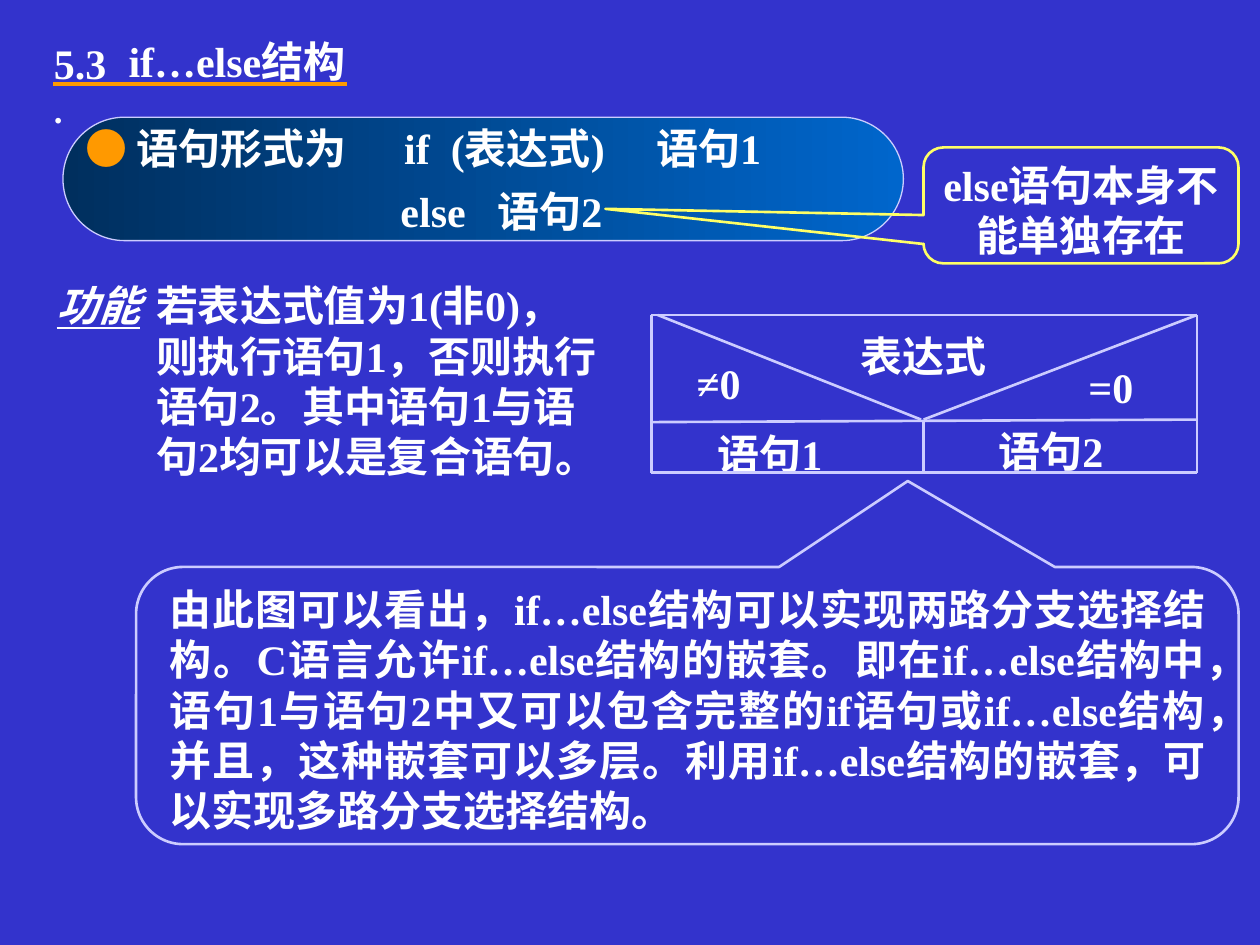
import pptx
import pptx.util
import pptx.dml.color
import pptx.enum.shapes
import pptx.enum.text
import pptx.oxml
import lxml.etree

Inches = pptx.util.Inches
Pt = pptx.util.Pt
SHAPES = pptx.enum.shapes.MSO_SHAPE
ALIGN = pptx.enum.text.PP_ALIGN
WHITE, LAVENDER, ORANGE, YELLOW = "FFFFFF", "CCCCFF", "FF9900", "FFFF66"
BASE_FORMAT = {"size": Pt(24), "name": "Times New Roman", "bold": True}


def color(value):
    return pptx.dml.color.RGBColor.from_string(value)


def write(shape, paragraphs, align=ALIGN.LEFT, space_before=0, tabs=(), grow=True):
    """Fill a shape with paragraphs, each a list of (text, colour, format) runs."""
    frame = shape.text_frame
    frame.word_wrap = True
    frame.vertical_anchor = pptx.enum.text.MSO_ANCHOR.TOP
    if grow:
        frame.auto_size = pptx.enum.text.MSO_AUTO_SIZE.SHAPE_TO_FIT_TEXT
    for index, runs in enumerate(paragraphs):
        paragraph = frame.add_paragraph() if index else frame.paragraphs[0]
        paragraph.alignment = align
        paragraph.space_before = Pt(space_before if index else 0)
        if tabs:
            tab_list = lxml.etree.SubElement(
                paragraph._p.get_or_add_pPr(), pptx.oxml.ns.qn("a:tabLst"))
            for position in tabs[index]:
                lxml.etree.SubElement(tab_list, pptx.oxml.ns.qn("a:tab"),
                                      pos=str(Inches(position)), algn="l")
        for text, run_color, run_format in runs:
            run = paragraph.add_run()
            run.text = text
            for name, value in {**BASE_FORMAT, **run_format}.items():
                setattr(run.font, name, value)
            run.font.color.rgb = color(run_color)


presentation = pptx.Presentation()
presentation.slide_width, presentation.slide_height = Inches(10), Inches(7.5)
slide = presentation.slides.add_slide(presentation.slide_layouts[5])
slide.background.fill.solid()
slide.background.fill.fore_color.rgb = color("3333CC")

# Title
title = slide.shapes.title
title.left, title.top = Inches(0.92), Inches(0.23)
title.width, title.height = Inches(2.42), Inches(0.5)
write(title, [[("if…else结构", WHITE, {})]])

# Rounded boxes: statement panel and the two callouts
boxes = {}
for name, preset, bounds, adjustments, line_color, line_width in [
    ("panel", SHAPES.ROUNDED_RECTANGLE, (0.5, 0.93, 6.67, 0.98),
     [0.5], LAVENDER, 0.75),
    ("warning", SHAPES.ROUNDED_RECTANGULAR_CALLOUT, (7.33, 1.17, 2.5, 0.92),
     [-1.51, 0.03, 0.17], YELLOW, 1.5),
    ("conclusion", SHAPES.ROUNDED_RECTANGULAR_CALLOUT, (1.08, 4.5, 8.75, 2.2),
     [0.2, -0.81, 0.17], LAVENDER, 1.5),
]:
    box = slide.shapes.add_shape(preset, *map(Inches, bounds))
    box.shadow.inherit = False
    box.fill.background()
    box.line.color.rgb = color(line_color)
    box.line.width = Pt(line_width)
    for index, value in enumerate(adjustments):
        box.adjustments[index] = value
    boxes[name] = box

panel_fill = boxes["panel"].fill
panel_fill.gradient()
panel_fill.gradient_angle = 0
for stop, position, value in zip(panel_fill.gradient_stops, (0, 1), ("002F5E", "0066CC")):
    stop.position = position
    stop.color.rgb = color(value)

write(boxes["warning"], [[("else语句本身不能单独存在", WHITE, {})]],
      align=ALIGN.CENTER, grow=False)

# Statement form, with the code aligned on tab stops
statement = slide.shapes.add_textbox(Inches(0.58), Inches(0.92), Inches(7.92), Inches(1.03))
write(statement, [
    [("● ", ORANGE, {"bold": False}),
     ("语句形式为\tif\t(表达式)\t语句1", WHITE, {})],
    [("\telse\t语句2", WHITE, {})],
], space_before=7.2, tabs=[(2.53, 2.9, 4.53), (2.5, 3.27)])

# Section number, explanation and diagram labels
conclusion = (
    "由此图可以看出，if…else结构可以实现两路分支选择结构。"
    "C语言允许if…else结构的嵌套。即在if…else结构中，"
    "语句1与语句2中又可以包含完整的if语句或if…else结构，"
    "并且，这种嵌套可以多层。利用if…else结构的嵌套，可以实现多路分支选择结构。")
function = "若表达式值为1(非0)，则执行语句1，否则执行语句2。其中语句1与语句2均可以是复合语句。"
for bounds, align, runs in [
    ((0.33, 0.25, 0.67, 0.5), ALIGN.LEFT,
     [("5.3", WHITE, {}), (".", WHITE, {"size": Pt(20)})]),
    ((0.35, 2.17, 0.98, 0.5), ALIGN.LEFT,
     [("功能", WHITE, {"italic": True, "underline": True})]),
    ((1.14, 2.17, 3.74, 1.72), ALIGN.LEFT, [(function, WHITE, {})]),
    ((1.25, 4.58, 8.42, 2.12), ALIGN.JUSTIFY, [(conclusion, WHITE, {})]),
    ((6.51, 2.57, 1.64, 0.51), ALIGN.CENTER, [("表达式", WHITE, {})]),
    ((5.43, 2.79, 0.79, 0.51), ALIGN.LEFT, [("≠0", WHITE, {})]),
    ((8.54, 2.82, 0.79, 0.51), ALIGN.LEFT, [("=0", WHITE, {})]),
    ((5.35, 3.35, 1.52, 0.51), ALIGN.CENTER, [("语句1", WHITE, {})]),
    ((7.58, 3.33, 1.52, 0.51), ALIGN.CENTER, [("语句2", WHITE, {})]),
]:
    write(slide.shapes.add_textbox(*map(Inches, bounds)), [runs], align=align)

# Title underline and the lines of the branch diagram
left, right, top, bottom = 5.17, 9.5, 2.5, 3.75
middle, divider = 7.33, 3.33
diagram = [
    (left, top, right, top),
    (left, bottom, right, bottom),
    (left, top, left, bottom),
    (right, top, right, bottom),
    (left, 3.35, right, divider),
    (5.22, top, 7.31, divider),
    (right, top, middle, divider),
    (middle, divider, middle, bottom),
]
lines = [((0.42, 0.67, 2.75, 0.67), ORANGE, 2.25)]
lines += [(ends, LAVENDER, 1.5) for ends in diagram]
for ends, line_color, width in lines:
    connector = slide.shapes.add_connector(
        pptx.enum.shapes.MSO_CONNECTOR.STRAIGHT, *map(Inches, ends))
    connector.line.color.rgb = color(line_color)
    connector.line.width = Pt(width)
    lxml.etree.SubElement(connector._element.spPr, pptx.oxml.ns.qn("a:effectLst"))

presentation.save("out.pptx")
